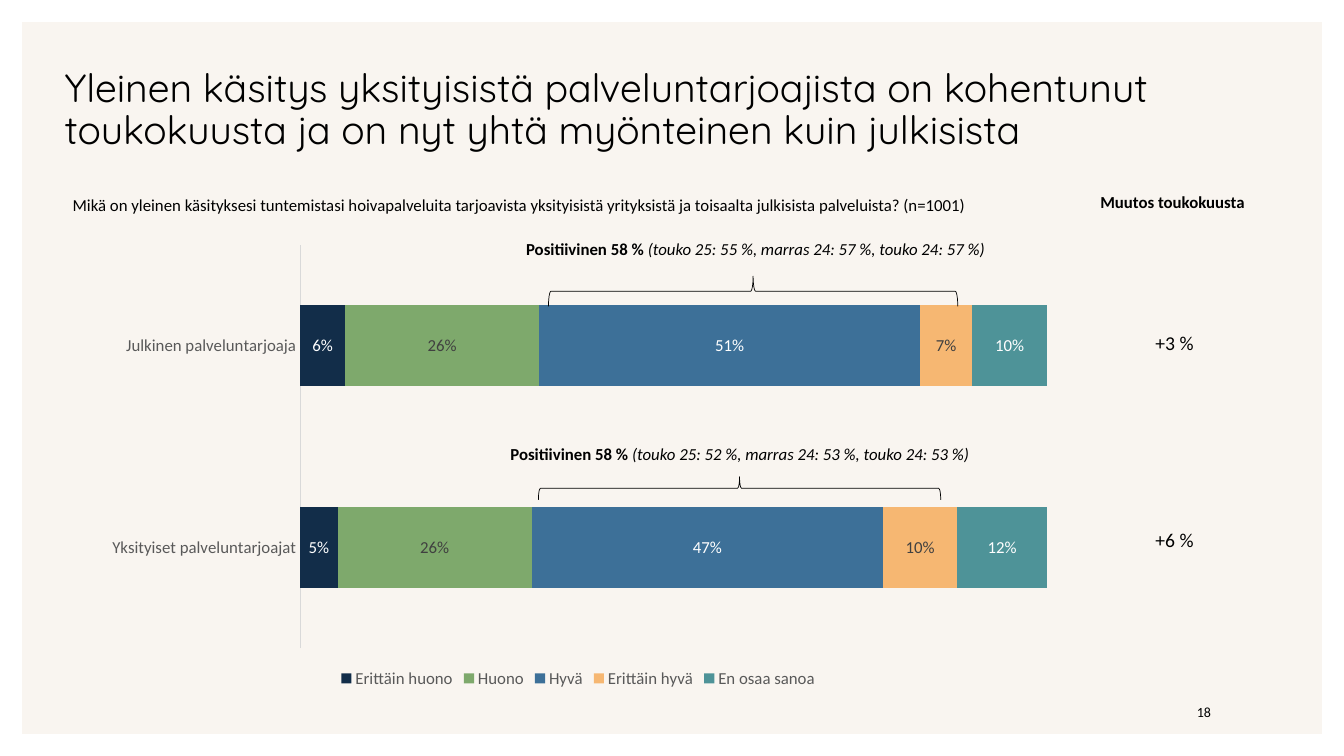
from lxml.etree import SubElement
from pptx import Presentation
from pptx.chart.data import CategoryChartData
from pptx.dml.color import RGBColor
from pptx.enum.chart import (XL_CHART_TYPE, XL_LABEL_POSITION,
                             XL_LEGEND_POSITION, XL_TICK_MARK)
from pptx.enum.shapes import MSO_SHAPE
from pptx.enum.text import MSO_ANCHOR, MSO_AUTO_SIZE, PP_ALIGN
from pptx.oxml.ns import qn
from pptx.util import Inches, Pt

WIDE, HIGH = 13.33, 7.5
FONT = "Calibri"
HUES = {"page": "F9F5F0", "white": "FFFFFF", "black": "000000",
        "gray": "595959", "dark": "404040", "rule": "D9D9D9",
        "navy": "122D49", "green": "7EA96C", "blue": "3D7098",
        "peach": "F6B772", "teal": "4E9398"}
CATS = ["Yksityiset palveluntarjoajat", "Julkinen palveluntarjoaja"]
BARS = [("Erittäin huono", (0.05, 0.06), "navy", "white"),
        ("Huono", (0.26, 0.26), "green", "dark"),
        ("Hyvä", (0.47, 0.51), "blue", "white"),
        ("Erittäin hyvä", (0.1, 0.07), "peach", "dark"),
        ("En osaa sanoa", (0.12, 0.1), "teal", "white")]
PLOT = {"x": 0.215, "y": 0.02, "w": 0.766, "h": 0.883}


def hue(name):
    """Return a named colour."""
    return RGBColor.from_string(HUES[name])


def area(left, top, width, height):
    """Turn percent shares of the slide into lengths."""
    return [Inches(part * side / 100) for part, side in
            zip((left, top, width, height), (WIDE, HIGH) * 2)]


def style(font, size, tint="black", face=FONT):
    """Set the size, colour and face of a font."""
    font.size, font.name = Pt(size), face
    font.color.rgb = hue(tint)


def fit(frame, inset=None, anchor=MSO_ANCHOR.TOP):
    """Wrap a text frame and set its insets and anchor."""
    frame.word_wrap = True
    frame.auto_size = MSO_AUTO_SIZE.NONE
    frame.vertical_anchor = anchor
    if inset is not None:
        frame.margin_left = frame.margin_right = Inches(inset)
        frame.margin_top = frame.margin_bottom = Inches(inset)


def fill_holder(holder, box, text, size, face=FONT, anchor=MSO_ANCHOR.TOP):
    """Move a placeholder and write its text."""
    holder.left, holder.top, holder.width, holder.height = area(*box)
    frame = holder.text_frame
    frame.text = text
    fit(frame, 0.04, anchor)
    para = frame.paragraphs[0]
    props = para._p.get_or_add_pPr()
    props.set("marL", "0")
    props.set("indent", "0")
    SubElement(props, qn("a:buNone"))
    para.alignment = PP_ALIGN.LEFT
    para.line_spacing = 0.9
    para.space_before = Pt(0)
    style(para.runs[0].font, size, face=face)


def add_note(slide, box, text, size=12, bold=False, tail=None):
    """Add a centred text box, with an optional italic tail."""
    note = slide.shapes.add_textbox(*area(*box))
    frame = note.text_frame
    fit(frame)
    para = frame.paragraphs[0]
    para.text = text
    para.alignment = PP_ALIGN.CENTER
    style(para.runs[0].font, size)
    para.runs[0].font.bold = bold
    if tail:
        run = para.add_run()
        run.text = tail
        style(run.font, size)
        run.font.italic = True
    return note


def add_brace(slide, box):
    """Add a thin brace that points up."""
    brace = slide.shapes.add_shape(MSO_SHAPE.LEFT_BRACE, *area(*box))
    brace.rotation = 90
    brace.shadow.inherit = False
    brace.fill.background()
    brace.line.color.rgb = hue("black")
    brace.line.width = Pt(0.5)


def add_frame(slide):
    """Add the white border of the page."""
    frame = slide.shapes.add_shape(MSO_SHAPE.FRAME, *area(0, 0, 100, 100))
    frame.adjustments[0] = 0.029
    frame.shadow.inherit = False
    frame.fill.solid()
    frame.fill.fore_color.rgb = hue("white")
    frame.line.fill.background()


def set_plot(chart):
    """Fix the inner plot area by shares of the chart."""
    zone = chart.element.find(".//" + qn("c:plotArea"))
    lay = zone.find(qn("c:layout"))
    if lay is None:
        lay = SubElement(zone, qn("c:layout"))
        zone.insert(0, lay)
    spot = SubElement(lay, qn("c:manualLayout"))
    rules = {"layoutTarget": "inner", "xMode": "edge", "yMode": "edge", **PLOT}
    for tag, val in rules.items():
        SubElement(spot, qn("c:" + tag)).set("val", str(val))


def add_bars(slide, box):
    """Add the stacked bar chart."""
    data = CategoryChartData(number_format="0%")
    data.categories = CATS
    for name, vals, *_ in BARS:
        data.add_series(name, vals)
    chart = slide.shapes.add_chart(
        XL_CHART_TYPE.BAR_STACKED_100, *area(*box), data).chart
    style(chart.font, 10)
    chart.has_title = False
    chart.has_legend = True
    chart.legend.position = XL_LEGEND_POSITION.BOTTOM
    chart.legend.include_in_layout = False
    style(chart.legend.font, 12, "gray")
    axis = chart.category_axis
    axis.major_tick_mark = axis.minor_tick_mark = XL_TICK_MARK.NONE
    axis.format.line.color.rgb = hue("rule")
    axis.format.line.width = Pt(0.75)
    style(axis.tick_labels.font, 12, "gray")
    chart.value_axis.has_major_gridlines = False
    chart.value_axis.visible = False
    plot = chart.plots[0]
    plot.gap_width, plot.overlap = 150, 100
    plot.vary_by_categories = False
    for bar, (_, _, tint, ink) in zip(plot.series, BARS):
        bar.format.fill.solid()
        bar.format.fill.fore_color.rgb = hue(tint)
        tags = bar.data_labels
        tags.show_value = True
        tags.position = XL_LABEL_POSITION.CENTER
        tags.number_format = "0%"
        tags.number_format_is_linked = False
        style(tags.font, 12, ink)
    set_plot(chart)


def main():
    """Build and save the slide."""
    deck = Presentation()
    deck.slide_width, deck.slide_height = Inches(WIDE), Inches(HIGH)
    slide = deck.slides.add_slide(deck.slide_layouts[1])
    slide.background.fill.solid()
    slide.background.fill.fore_color.rgb = hue("page")
    add_frame(slide)
    fill_holder(slide.shapes.title, (4.5, 8.13, 90.85, 12.67),
                "Yleinen käsitys yksityisistä palveluntarjoajista on kohentunut "
                "toukokuusta ja on nyt yhtä myönteinen kuin julkisista",
                28, "Quicksand", MSO_ANCHOR.BOTTOM)
    fill_holder(slide.placeholders[1], (5.1, 25.47, 76.29, 4.67),
                "Mikä on yleinen käsityksesi tuntemistasi hoivapalveluita "
                "tarjoavista yksityisistä yrityksistä ja toisaalta julkisista "
                "palveluista? (n=1001)", 12)
    add_bars(slide, (6.75, 31.2, 72.54, 60.4))
    add_brace(slide, (54.91, 11.47, 2.25, 54.13))
    add_brace(slide, (54.16, 38, 1.73, 53.2))
    lead = "Positiivinen 58 % "
    add_note(slide, (33.91, 30.93, 44.64, 4), lead, bold=True,
             tail="(touko 25: 55 %, marras 24: 57 %, touko 24: 57 %)")
    add_note(slide, (33.38, 58, 43.36, 4), lead, bold=True,
             tail="(touko 25: 52 %, marras 24: 53 %, touko 24: 53 %)")
    add_note(slide, (80.57, 24.67, 13.35, 4), "Muutos toukokuusta", bold=True)
    for top, text in ((43.07, "+3 %"), (69.2, "+6 %")):
        add_note(slide, (80.72, top, 13.35, 4.53), text, 14)
    page = add_note(slide, (87.47, 91.2, 2.93, 6), "18", 10)
    fit(page.text_frame, 0.04, MSO_ANCHOR.MIDDLE)
    page.text_frame.paragraphs[0].alignment = PP_ALIGN.RIGHT
    deck.save("out.pptx")


if __name__ == "__main__":
    main()
